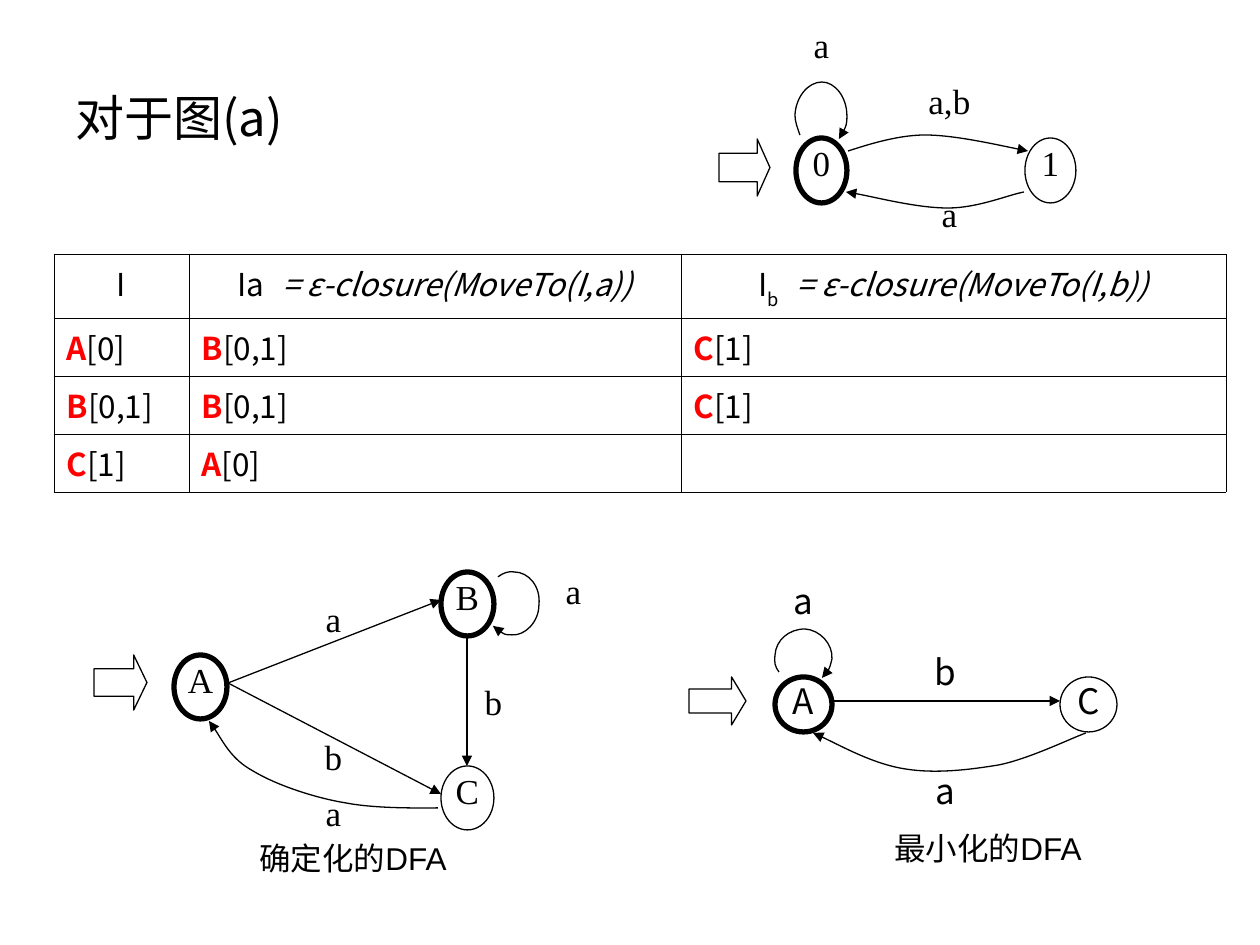
from lxml.etree import SubElement
from pptx import Presentation
from pptx.dml.color import RGBColor
from pptx.enum.shapes import MSO_CONNECTOR, MSO_SHAPE
from pptx.enum.text import MSO_ANCHOR, PP_ALIGN
from pptx.oxml.ns import qn
from pptx.util import Pt

PX = 914400 // 126
BLACK, WHITE, RED = "000000", "FFFFFF", "FF0000"
SANS, SERIF, CAPTION = "Noto Sans CJK SC", "Times New Roman", "Arial"


def px(*lengths):
    return [length * PX for length in lengths]


def rgb(color):
    return RGBColor.from_string(color)


def add_run(paragraph, words, size, face=SANS, color=BLACK, bold=False, italic=False):
    run = paragraph.add_run()
    run.text = words
    font = run.font
    font.size, font.name = Pt(size), face
    font.bold, font.italic = bold, italic
    font.color.rgb = rgb(color)
    east_asian = face if face == SERIF else SANS
    SubElement(font._element, qn("a:ea"), typeface=east_asian)
    return font._element


def style_line(shape, width=0.75, arrow=False):
    shape.line.color.rgb = rgb(BLACK)
    shape.line.width = Pt(width)
    if arrow:
        SubElement(shape.line._get_or_add_ln(), qn("a:tailEnd"), type="triangle")


def add_text(slide, box, words, size, face, anchor=MSO_ANCHOR.TOP, wrap=True):
    frame = slide.shapes.add_textbox(*px(*box)).text_frame
    frame.word_wrap = wrap
    frame.vertical_anchor = anchor
    add_run(frame.paragraphs[0], words, size, face)
    return frame


def center_letter(frame, spacing):
    frame.margin_left = frame.margin_right = frame.margin_top = frame.margin_bottom = 0
    frame.paragraphs[0].alignment = PP_ALIGN.CENTER
    frame.paragraphs[0].line_spacing = spacing


class Automaton:
    """State diagram whose parts are placed relative to its top left corner."""

    def __init__(self, slide, left, top, node_size, label_size, face):
        self.slide, self.left, self.top = slide, left, top
        self.node_size, self.label_size, self.face = node_size, label_size, face

    def at(self, x, y):
        return self.left + x, self.top + y

    def outline(self, kind, x, y, size, width=0.75):
        shape = self.slide.shapes.add_shape(kind, *px(*self.at(x, y), *size))
        shape.shadow.inherit = False
        shape.fill.solid()
        shape.fill.fore_color.rgb = rgb(WHITE)
        style_line(shape, width)
        return shape

    def start(self, y, size, head=0.25):
        arrow = self.outline(MSO_SHAPE.RIGHT_ARROW, 0, y, size)
        arrow.adjustments[1] = head

    def state(self, name, x, y, accepting=False):
        node = self.outline(MSO_SHAPE.OVAL, x, y, self.node_size, 3 if accepting else 0.75)
        frame = node.text_frame
        frame.vertical_anchor = MSO_ANCHOR.TOP
        add_run(frame.paragraphs[0], name, 20, self.face)
        center_letter(frame, 0.88)

    def label(self, symbol, x, y):
        box = (*self.at(x, y), *self.label_size)
        center_letter(add_text(self.slide, box, symbol, 20, self.face), 0.96)

    def edge(self, begin, end):
        line = self.slide.shapes.add_connector(
            MSO_CONNECTOR.STRAIGHT, *px(*self.at(*begin), *self.at(*end)))
        style_line(line, arrow=True)
        SubElement(line._element.spPr, qn("a:effectLst"))

    def curve(self, *points):
        """Draw a Bezier path: a start, then two controls and an end per segment."""
        spots = [self.at(*point) for point in points]
        builder = self.slide.shapes.build_freeform(*spots[0], scale=PX)
        builder.add_line_segments(spots[1:], close=False)
        shape = builder.convert_to_shape()
        outline = next(shape._element.iter(qn("a:path")))
        steps = outline.findall(qn("a:lnTo"))
        for first in range(0, len(steps), 3):
            bezier = SubElement(outline, qn("a:cubicBezTo"))
            for step in steps[first:first + 3]:
                bezier.append(step[0])
                outline.remove(step)
        shape.fill.background()
        shape.shadow.inherit = False
        style_line(shape, arrow=True)


def draw_source_nfa(slide, left, top):
    nfa = Automaton(slide, left, top, (51, 65), (51, 57), SERIF)
    nfa.curve((81, 109), (79, 103), (76, 96), (76, 89), (77, 71), (89, 56), (103, 56),
              (116, 56), (128, 71), (128, 90), (128, 99), (125, 106), (120, 113))
    nfa.state("0", 77, 112, accepting=True)
    nfa.state("1", 306, 112)
    nfa.start(113, (51, 57))
    nfa.curve((129, 125), (142, 121), (176, 109), (206, 109),
              (235, 109), (288, 121), (309, 125))
    nfa.curve((305, 166), (289, 169), (259, 182), (229, 182),
              (198, 182), (144, 168), (127, 166))
    for symbol, x, y in (("a", 77, 0), ("a,b", 205, 56), ("a", 205, 169)):
        nfa.label(symbol, x, y)


def draw_determinized_dfa(slide, left, top):
    dfa = Automaton(slide, left, top, (53, 64), (53, 55), SERIF)
    dfa.start(83, (53, 55))
    dfa.edge((134, 111), (347, 28))
    dfa.edge((134, 111), (347, 222))
    dfa.edge((373, 55), (373, 194))
    dfa.curve((404, 5), (409, 1), (415, -1), (420, 0), (435, 0), (447, 15), (445, 33),
              (445, 50), (431, 64), (418, 63), (410, 63), (404, 59), (399, 54))
    dfa.curve((344, 236), (329, 236), (283, 237), (252, 231), (221, 226),
              (182, 213), (159, 199), (137, 187), (124, 160), (115, 149))
    dfa.state("A", 80, 83, accepting=True)
    dfa.state("B", 347, 0, accepting=True)
    dfa.state("C", 347, 194)
    for symbol, x, y in (("a", 213, 28), ("b", 213, 166), ("a", 213, 222),
                         ("a", 453, 0), ("b", 373, 111)):
        dfa.label(symbol, x, y)
    add_text(slide, (*dfa.at(153, 261), 231, 50), "确定化的DFA", 18, CAPTION, wrap=False)


def draw_minimized_dfa(slide, left, top):
    dfa = Automaton(slide, left, top, (57, 55), (57, 48), SANS)
    dfa.start(95, (57, 48), head=0.3)
    dfa.state("A", 86, 95, accepting=True)
    dfa.state("C", 371, 95)
    dfa.edge((143, 119), (371, 119))
    dfa.curve((397, 151), (383, 156), (340, 177), (310, 183), (280, 188),
              (246, 192), (216, 187), (184, 182), (143, 159), (124, 151))
    dfa.curve((90, 90), (86, 85), (85, 80), (86, 73), (87, 58), (100, 47), (116, 47),
              (131, 48), (144, 62), (143, 77), (141, 85), (139, 92), (133, 96))
    for symbol, x, y in (("b", 228, 71), ("a", 86, 0), ("a", 228, 190)):
        dfa.label(symbol, x, y)
    add_text(slide, (*dfa.at(193, 241), 231, 50), "最小化的DFA", 18, CAPTION, wrap=False)


def frame_cell(cell):
    cell.fill.background()
    properties = cell._tc.get_or_add_tcPr()
    for position, side in enumerate(("lnL", "lnR", "lnT", "lnB")):
        border = SubElement(properties, qn(f"a:{side}"), w=str(Pt(0.45)))
        fill = SubElement(border, qn("a:solidFill"))
        SubElement(fill, qn("a:srgbClr"), val=BLACK)
        properties.insert(position, border)


def fill_header(paragraph, name, subscript, formula):
    paragraph.alignment = PP_ALIGN.CENTER
    add_run(paragraph, name, 18)
    if subscript:
        add_run(paragraph, subscript, 18).set("baseline", "-30000")
    if formula:
        add_run(paragraph, " ", 18).set("spc", "600")
        add_run(paragraph, formula, 18, italic=True)


def draw_subset_table(slide, left, top):
    headers = (("I", "", ""), ("Ia", "", "= ε-closure(MoveTo(I,a))"),
               ("I", "b", "= ε-closure(MoveTo(I,b))"))
    subsets = {"A": "[0]", "B": "[0,1]", "C": "[1]"}
    transitions = ("ABC", "BBC", "CA")
    widths, heights = (135, 492, 545), (64, 58, 58, 58)
    table = slide.shapes.add_table(
        len(heights), len(widths), *px(left, top, sum(widths), sum(heights))).table
    table.first_row = table.horz_banding = False
    for column, width in zip(table.columns, px(*widths)):
        column.width = width
    for row, height in zip(table.rows, px(*heights)):
        row.height = height
    for cell in table.iter_cells():
        frame_cell(cell)
    for column, header in enumerate(headers):
        fill_header(table.cell(0, column).text_frame.paragraphs[0], *header)
    for row, states in enumerate(transitions, 1):
        for column, state in enumerate(states):
            paragraph = table.cell(row, column).text_frame.paragraphs[0]
            add_run(paragraph, state, 18, color=RED, bold=True)
            add_run(paragraph, subsets[state], 18)


def main():
    deck = Presentation()
    deck.slide_width, deck.slide_height = px(1260, 945)
    slide = deck.slides.add_slide(deck.slide_layouts[6])
    add_text(slide, (63, 38, 547, 157), "对于图(a)", 28, SANS, MSO_ANCHOR.MIDDLE)
    draw_source_nfa(slide, 719, 26)
    draw_subset_table(slide, 54, 254)
    draw_determinized_dfa(slide, 94, 572)
    draw_minimized_dfa(slide, 689, 582)
    deck.save("out.pptx")


if __name__ == "__main__":
    main()
